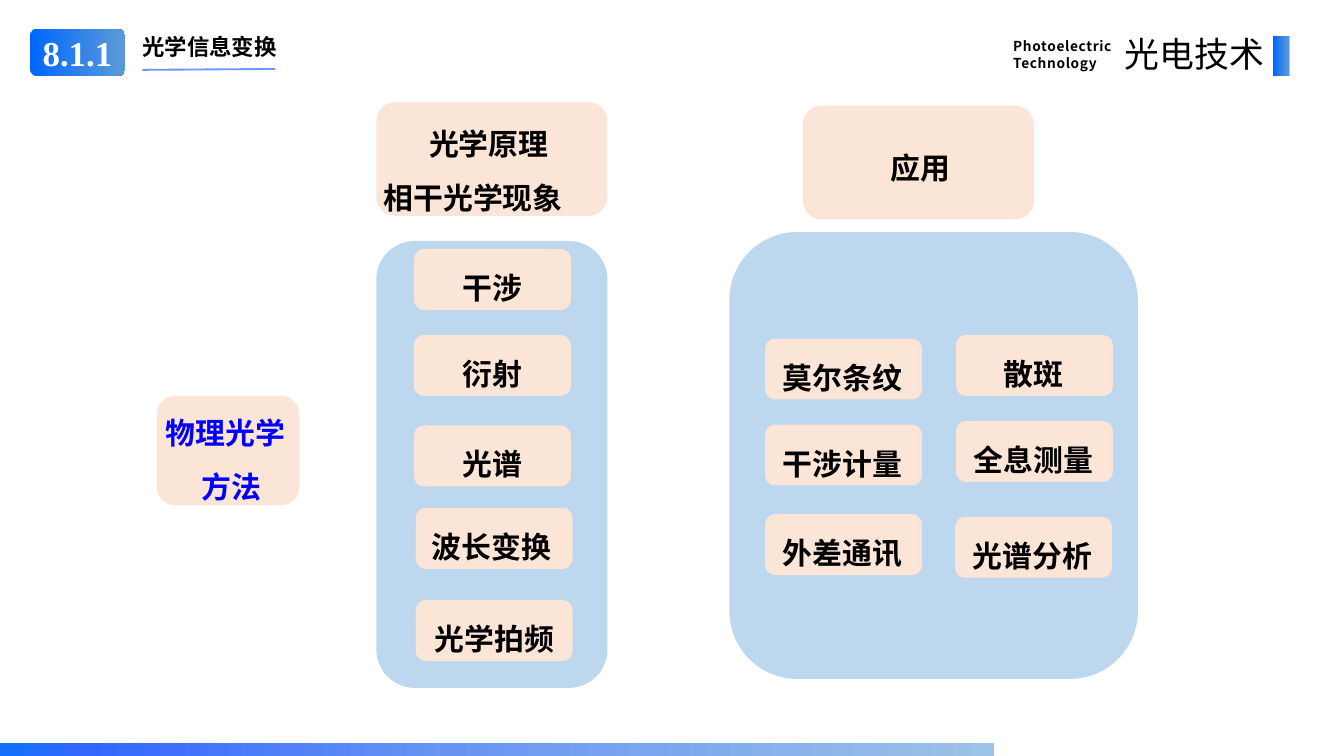
from dataclasses import dataclass

from lxml import etree
from pptx import Presentation
from pptx import util as u
from pptx.dml.color import RGBColor
from pptx.enum import shapes, text
from pptx.oxml.ns import qn

Inches = u.Inches
RECT = shapes.MSO_SHAPE.RECTANGLE
ROUND = shapes.MSO_SHAPE.ROUNDED_RECTANGLE
LEFT, CENTER, RIGHT = (text.PP_ALIGN.LEFT, text.PP_ALIGN.CENTER,
                       text.PP_ALIGN.RIGHT)


@dataclass(frozen=True)
class Theme:
    font: str = "Noto Sans CJK SC"
    number_font: str = "Times New Roman"
    black: str = "000000"
    white: str = "FFFFFF"
    method: str = "0000FF"
    panel: str = "BDD7EE"
    card: str = "FBE5D6"
    rule: str = "3366FF"
    accent: tuple = ((0, "0066FF"), (100, "5B9BD5"))
    footer: tuple = ((0, "1271FE"), (9, "3366FF"), (45, "6895F3"),
                     (100, "9DC3E6"))
    label: int = 24
    heading: int = 18
    display: int = 28
    small: int = 11


T = Theme()


def add_box(parent, kind, x, y, w, h, fill):
    """Add a borderless shape; fill is a colour or a tuple of gradient stops."""
    sp = parent.shapes.add_shape(kind, Inches(x), Inches(y), Inches(w), Inches(h))
    sp.shadow.inherit = False
    sp.line.fill.background()
    if isinstance(fill, str):
        sp.fill.solid()
        sp.fill.fore_color.rgb = RGBColor.from_string(fill)
        return sp
    sp.fill.gradient()
    sp.fill.gradient_angle = 0
    stops = sp.element.spPr.find(qn("a:gradFill")).find(qn("a:gsLst"))
    for old in list(stops):
        stops.remove(old)
    for pos, color in fill:
        gs = etree.SubElement(stops, qn("a:gs"), pos=str(pos * 1000))
        etree.SubElement(gs, qn("a:srgbClr"), val=color)
    return sp


def write(sp, lines, size=T.label, color=T.black, font=T.font, bold=True,
          aligns=(CENTER,), spacing=None, before=None, tracking=0):
    """Fill a shape with paragraphs; the last alignment serves later lines."""
    tf = sp.text_frame
    tf.word_wrap = True
    for i, line in enumerate(lines):
        p = tf.paragraphs[0] if i == 0 else tf.add_paragraph()
        p.alignment = aligns[min(i, len(aligns) - 1)]
        if spacing:
            p.line_spacing = spacing
        if before:
            p.space_before = before
        r = p.add_run()
        r.text = line
        r.font.size = u.Pt(size)
        r.font.bold = bold
        r.font.name = font
        r.font.color.rgb = RGBColor.from_string(color)
        rpr = r.font._element
        etree.SubElement(rpr, qn("a:ea"), typeface=font)
        if tracking:
            rpr.set("spc", str(round(tracking * 100)))


def add_text(parent, lines, x, y, w, h, inset=True, **fmt):
    sp = parent.shapes.add_textbox(Inches(x), Inches(y), Inches(w), Inches(h))
    tf = sp.text_frame
    if not inset:
        tf.margin_left = tf.margin_right = tf.margin_top = tf.margin_bottom = 0
    write(sp, lines, **fmt)
    tf.auto_size = text.MSO_AUTO_SIZE.SHAPE_TO_FIT_TEXT


def add_card(s, lines, box, label, **fmt):
    """Group a rounded card with its label."""
    group = s.shapes.add_group_shape()
    add_box(group, ROUND, *box, T.card)
    add_text(group, lines, *label, spacing=1.5, **fmt)


def add_item(s, name, x, y, dx=0.13):
    add_card(s, [name], (x, y, 1.75, 0.68), (x + dx, y + 0.03, 1.49, 0.53),
             inset=False)


def add_rule(s, x1, y1, x2, y2):
    line = s.shapes.add_connector(shapes.MSO_CONNECTOR.STRAIGHT, Inches(x1),
                                  Inches(y1), Inches(x2), Inches(y2))
    line.line.width = u.Pt(1.5)
    line.line.color.rgb = RGBColor.from_string(T.rule)
    sppr = line.element.spPr
    color = next(sppr.iter(qn("a:srgbClr")))
    etree.SubElement(color, qn("a:alpha"), val="70000")
    etree.SubElement(sppr, qn("a:effectLst"))


def add_header(s):
    add_text(s, ["光学信息变换"], 1.49, 0.32, 1.82, 0.4, size=T.heading,
             aligns=(LEFT,))
    add_text(s, ["Photoelectric", "Technology"], 11.21, 0.36, 1.34, 0.49,
             size=T.small, aligns=(LEFT,), spacing=u.Pt(14), tracking=0.5)
    add_box(s, RECT, 14.21, 0.4, 0.18, 0.45, T.accent)
    badge = add_box(s, ROUND, 0.33, 0.32, 1.07, 0.53, T.accent)
    badge.text_frame.vertical_anchor = text.MSO_ANCHOR.MIDDLE
    write(badge, ["8.1.1"], size=T.display, color=T.white, font=T.number_font)
    add_rule(s, 1.59, 0.78, 3.07, 0.77)
    add_text(s, ["光电技术"], 12.31, 0.32, 1.9, 0.57, size=T.display,
             bold=False, aligns=(RIGHT,), tracking=0.2)


def main():
    prs = Presentation()
    prs.slide_width, prs.slide_height = Inches(15), Inches(8.44)
    s = prs.slides.add_slide(prs.slide_layouts[6])

    # Panels behind the two columns
    add_box(s, ROUND, 8.14, 2.59, 4.56, 4.99, T.panel)
    add_box(s, ROUND, 4.2, 2.69, 2.58, 4.99, T.panel)

    # Method and column headings
    add_card(s, ["物理光学", "方法"], (1.75, 4.42, 1.59, 1.22),
             (1.75, 4.38, 1.67, 1.31), color=T.method, aligns=(LEFT, CENTER))
    add_card(s, ["光学原理", "相干光学现象"], (4.2, 1.14, 2.58, 1.27),
             (4.28, 1.2, 2.35, 1.21), inset=False, aligns=(CENTER, LEFT))
    add_card(s, ["应用"], (8.96, 1.18, 2.58, 1.27),
             (9.1, 1.47, 2.35, 0.53), inset=False)

    # Principles
    for name, x, y in (("干涉", 4.62, 2.78), ("衍射", 4.62, 3.74),
                       ("光谱", 4.62, 4.75), ("光学拍频", 4.64, 6.7)):
        add_item(s, name, x, y)
    add_item(s, "波长变换", 4.64, 5.67, dx=0.1)

    # Applications
    for name, x, y in (("莫尔条纹", 8.54, 3.78), ("干涉计量", 8.54, 4.74),
                       ("外差通讯", 8.54, 5.74), ("散斑", 10.67, 3.74),
                       ("全息测量", 10.67, 4.7), ("光谱分析", 10.66, 5.77)):
        add_item(s, name, x, y, dx=0.12)

    # Header and footer
    add_header(s)
    add_box(s, RECT, 0, 8.3, 11.09, 0.14, T.footer)

    prs.save("out.pptx")


if __name__ == "__main__":
    main()
